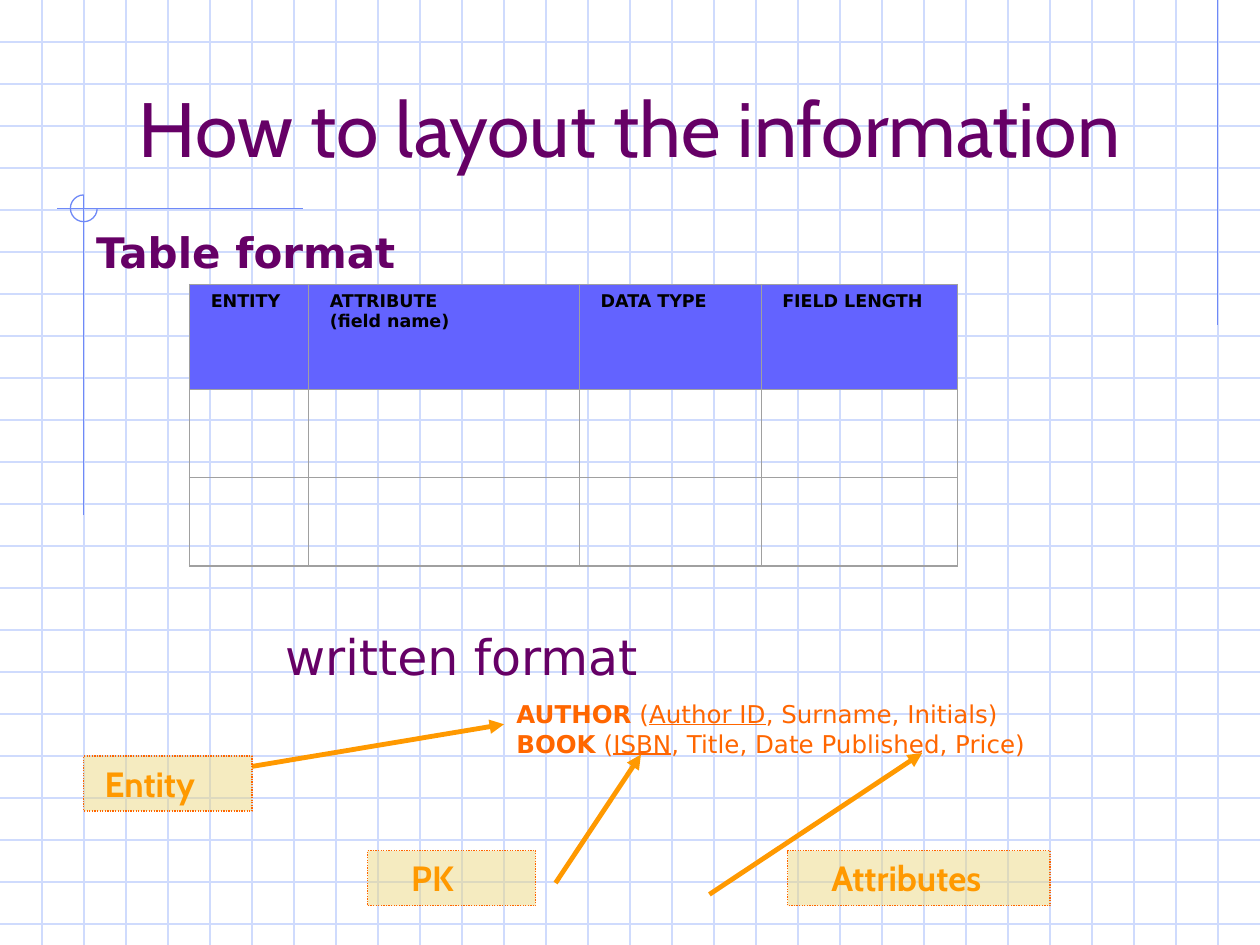
from lxml import etree
from pptx import Presentation
from pptx.dml.color import RGBColor
from pptx.enum.dml import MSO_LINE_DASH_STYLE as Dash
from pptx.enum.shapes import MSO_CONNECTOR as Connector, MSO_SHAPE as Shape
from pptx.enum.text import MSO_ANCHOR as Anchor, PP_ALIGN as Align
from pptx.oxml.ns import qn
from pptx.util import Cm, Pt

WIDTH, HEIGHT = 25.4, 19.05
GRID_STEP = WIDTH / 30


def color(hex_value):
    return RGBColor.from_string(hex_value)


class SlideBuilder:
    """Lengths are centimetres; text is a list of paragraphs, each a list of runs."""

    GRID, AXIS, PURPLE = "CFDBFD", "6F89F7", "660066"
    ORANGE, AMBER, SAND = "FF6600", "FF9900", "ECD882"
    HEADER, BORDER, BLACK = "6363FF", "A0A0A0", "000000"
    HEADING, BODY = "Cabin", "DejaVu Sans"

    def __init__(self, slide):
        self.slide = slide

    def add_runs(self, frame, paragraphs, size, hex_value, font=BODY, align=Align.LEFT):
        """Each run is (text, style), where style may hold b (bold) and u (underline)."""
        for index, runs in enumerate(paragraphs):
            paragraph = frame.paragraphs[0] if index == 0 else frame.add_paragraph()
            paragraph.alignment = align
            for content, style in runs:
                run = paragraph.add_run()
                run.text = content
                run.font.name, run.font.size = font, Pt(size)
                run.font.color.rgb = color(hex_value)
                run.font.bold = "b" in style
                run.font.underline = "u" in style

    def text(self, x, y, w, h, paragraphs, size, hex_value,
             font=BODY, align=Align.LEFT, anchor=Anchor.TOP):
        frame = self.slide.shapes.add_textbox(Cm(x), Cm(y), Cm(w), Cm(h)).text_frame
        frame.word_wrap = True
        frame.vertical_anchor = anchor
        self.add_runs(frame, paragraphs, size, hex_value, font, align)

    def line(self, x1, y1, x2, y2, hex_value, width=0.75, arrow=False):
        connector = self.slide.shapes.add_connector(
            Connector.STRAIGHT, Cm(x1), Cm(y1), Cm(x2), Cm(y2))
        connector.line.color.rgb = color(hex_value)
        connector.line.width = Pt(width)
        properties = connector._element.spPr
        if arrow:
            etree.SubElement(properties.find(qn("a:ln")), qn("a:tailEnd"), type="triangle")
        etree.SubElement(properties, qn("a:effectLst"))

    def arc(self, x, y, size):
        arc = self.slide.shapes.add_shape(Shape.ARC, Cm(x), Cm(y), Cm(size), Cm(size))
        arc.shadow.inherit = False
        # Three quarters of a circle, clockwise from the right to the top
        arc.adjustments[0], arc.adjustments[1] = 0, 162
        arc.fill.background()
        arc.line.color.rgb = color(self.AXIS)
        arc.line.width = Pt(0.75)

    def label(self, x, y, w, content, indent):
        box = self.slide.shapes.add_shape(Shape.RECTANGLE, Cm(x), Cm(y), Cm(w), Cm(1.11))
        box.shadow.inherit = False
        box.fill.solid()
        box.fill.fore_color.rgb = color(self.SAND)
        tint = box._element.spPr.find(qn("a:solidFill")).find(qn("a:srgbClr"))
        etree.SubElement(tint, qn("a:alpha"), val="50000")
        box.line.color.rgb = color(self.ORANGE)
        box.line.width = Pt(0.75)
        box.line.dash_style = Dash.ROUND_DOT
        frame = box.text_frame
        frame.margin_left = Cm(indent)
        frame.vertical_anchor = Anchor.TOP
        self.add_runs(frame, [[(content, "b")]], 20, self.AMBER, self.HEADING)

    def border(self, cell, side, width):
        edge = etree.SubElement(cell._tc.get_or_add_tcPr(), qn(f"a:ln{side}"),
                                w=str(Pt(width)))
        fill = etree.SubElement(edge, qn("a:solidFill"))
        etree.SubElement(fill, qn("a:srgbClr"), val=self.BORDER)

    def table(self, x, y, widths, heights, headings):
        table = self.slide.shapes.add_table(
            len(heights), len(widths), Cm(x), Cm(y), Cm(sum(widths)), Cm(sum(heights))).table
        table.first_row = table.horz_banding = False
        for column, width in zip(table.columns, widths):
            column.width = Cm(width)
        last_row, last_column = len(heights) - 1, len(widths) - 1
        for r, height in enumerate(heights):
            table.rows[r].height = Cm(height)
            for c in range(len(widths)):
                cell = table.cell(r, c)
                outer = {"L": c == 0, "R": c == last_column,
                         "T": r == 0, "B": r == last_row}
                for side, is_outer in outer.items():
                    self.border(cell, side, 1 if is_outer else 0.5)
                cell.margin_left, cell.margin_right = Cm(0.43), Cm(0.25)
                if r == 0:
                    cell.fill.solid()
                    cell.fill.fore_color.rgb = color(self.HEADER)
                    lines = [[(line, "b")] for line in headings[c]]
                    self.add_runs(cell.text_frame, lines, 10, self.BLACK)
                else:
                    cell.fill.background()


def main():
    deck = Presentation()
    deck.slide_width, deck.slide_height = Cm(WIDTH), Cm(HEIGHT)
    page = SlideBuilder(deck.slides.add_slide(deck.slide_layouts[6]))

    # Squared paper
    for row in range(1, 23):
        page.line(0, row * GRID_STEP, WIDTH, row * GRID_STEP, page.GRID)
    for column in range(1, 30):
        page.line(column * GRID_STEP, 0, column * GRID_STEP, HEIGHT, page.GRID)

    # Axis ornament
    page.line(24.55, 0, 24.55, 6.55, page.AXIS)
    page.line(6.1, 4.21, 1.14, 4.21, page.AXIS)
    page.line(1.69, 3.94, 1.69, 10.39, page.AXIS)
    page.arc(1.42, 3.93, 0.54)

    # Title
    page.text(1.9, 1.27, 21.6, 2.34, [[("How to layout the information", "")]], 44,
              page.PURPLE, page.HEADING, Align.CENTER, Anchor.BOTTOM)

    # Table format
    page.text(1.69, 4.45, 8.69, 1.27, [[("Table format", "b")]], 24, page.PURPLE)
    page.table(3.82, 5.74, [2.4, 5.46, 3.66, 3.96], [2.11, 1.78, 1.78],
               [["ENTITY"], ["ATTRIBUTE", "(field name)"], ["DATA TYPE"], ["FIELD LENGTH"]])

    # Written format
    page.text(5.5, 12.5, 7.82, 1.45, [[("written format", "")]], 28, page.PURPLE)
    page.text(10.16, 13.97, 11.43, 1.45, [
        [("AUTHOR", "b"), (" (", ""), ("Author ID", "u"), (", Surname, Initials)", "")],
        [("BOOK", "b"), (" (", ""), ("ISBN", "u"), (", Title, Date Published, Price)", "")],
    ], 14, page.ORANGE)

    # Arrows from the labels to the written format
    for arrow in [(5.08, 15.45, 10.16, 14.6),
                  (14.3, 18.03, 18.59, 15.18),
                  (11.2, 17.8, 12.92, 15.21)]:
        page.line(*arrow, page.AMBER, 2.75, arrow=True)

    # Labels
    page.label(1.69, 15.24, 3.39, "Entity", 0.42)
    page.label(7.41, 17.15, 3.39, "PK", 0.88)
    page.label(15.88, 17.15, 5.29, "Attributes", 0.88)

    deck.save("out.pptx")


if __name__ == "__main__":
    main()
